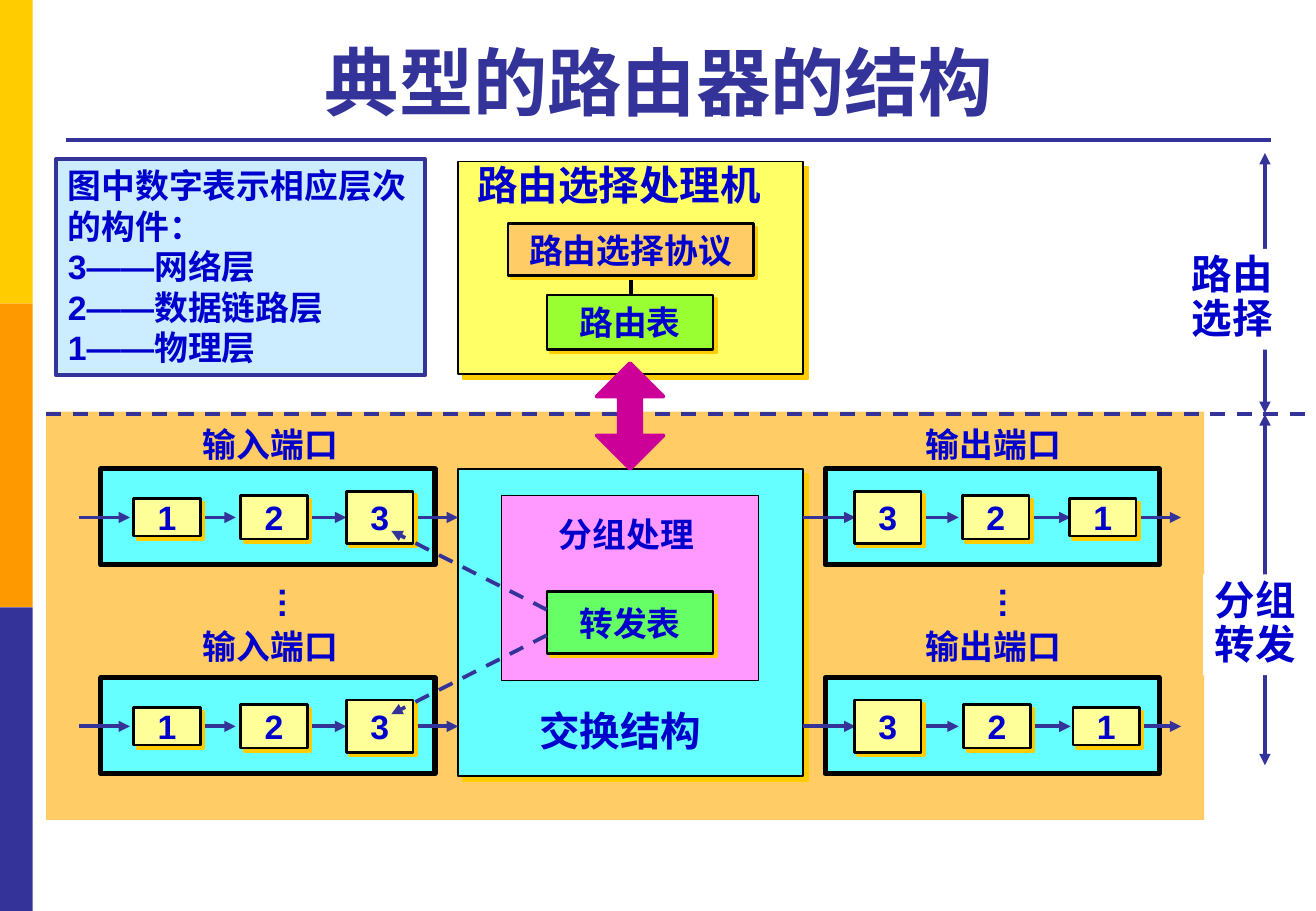
from dataclasses import dataclass

from lxml import etree
from pptx import Presentation
from pptx.dml.color import RGBColor
from pptx.enum import dml, shapes, text
from pptx.oxml.ns import qn
from pptx.util import Inches, Pt


@dataclass(frozen=True)
class Theme:
    font: str = "Arial"
    title_size: int = 44
    heading_size: int = 24
    label_size: int = 20
    ink: str = "0000CC"
    navy: str = "333399"
    black: str = "000000"
    white: str = "FFFFFF"
    gold: str = "FFCC00"
    orange: str = "FF9900"
    sand: str = "FFCC66"
    yellow: str = "FFFF66"
    cream: str = "FFFF99"
    cyan: str = "66FFFF"
    pink: str = "FF99FF"
    lime: str = "99FF33"
    green: str = "66FF66"
    magenta: str = "CC0099"
    sky: str = "CCECFF"


THEME = Theme()

TITLE = "典型的路由器的结构 "
LEGEND = ["图中数字表示相应层次的构件：", "3——网络层", "2——数据链路层", "1——物理层"]
PLANES = [  # lines, label position, arrow top and bottom
    (["路由", "选择"], (9.71, 2.05), (1.26, 3.4)),
    (["分组", "转发"], (9.9, 4.73), (3.41, 6.3)),
]
LAYER_HEIGHTS = {"1": 0.31, "2": 0.36, "3": 0.43}
ROWS = [(4.26, 3.44), (5.98, 5.1)]  # arrow line and label top
INPUT_LAYERS = [("1", 1.1), ("2", 1.98), ("3", 2.85)]
INPUT_ARROWS = [(0.65, 1.07), (1.57, 1.94), (2.49, 2.85), (3.4, 3.77)]
OUTPUT_ARROWS = [(6.61, 7.04), (7.52, 7.89), (8.44, 8.81), (9.35, 9.72)]
OUTPUT_LAYERS = [
    [("3", 7.03), ("2", 7.92), ("1", 8.8)],
    [("3", 7.03), ("2", 7.93), ("1", 8.83)],
]
# label, label left, port left, ellipsis left, layers in each row, arrows
PORTS = [
    ("输入端口", 1.57, 0.83, 2.17, [INPUT_LAYERS] * 2, INPUT_ARROWS),
    ("输出端口", 7.52, 6.79, 8.1, OUTPUT_LAYERS, OUTPUT_ARROWS),
]
TABLE_LINKS = [((4.5, 5.02), (3.22, 4.37)), ((4.5, 5.23), (3.22, 5.88))]

presentation = Presentation()
presentation.slide_width = Inches(10.83)
presentation.slide_height = Inches(7.5)
slide = presentation.slides.add_slide(presentation.slide_layouts[5])


def write(shape, lines, size=THEME.label_size, color=THEME.ink, align=text.PP_ALIGN.LEFT,
          anchor=text.MSO_ANCHOR.TOP, wrap=False, spacing=None):
    frame = shape.text_frame
    frame.word_wrap = wrap
    frame.vertical_anchor = anchor
    for index, line in enumerate(lines):
        paragraph = frame.paragraphs[0] if index == 0 else frame.add_paragraph()
        paragraph.alignment = align
        if spacing:
            paragraph.line_spacing = spacing
        run = paragraph.add_run()
        run.text = line
        run.font.name = THEME.font
        run.font.size = Pt(size)
        run.font.bold = True
        run.font.color.rgb = RGBColor.from_string(color)


def add_block(box, fill, line=None, width=1.5, shadow=0, kind=shapes.MSO_SHAPE.RECTANGLE):
    """Add a filled shape; shadow is the distance in points of a hard gold shadow."""
    shape = slide.shapes.add_shape(kind, *map(Inches, box))
    shape.fill.solid()
    shape.fill.fore_color.rgb = RGBColor.from_string(fill)
    if line:
        shape.line.color.rgb = RGBColor.from_string(line)
        shape.line.width = Pt(width)
    else:
        shape.line.fill.background()
    shape.shadow.inherit = False
    if shadow:
        effects = shape.element.spPr.find(qn("a:effectLst"))
        outer = etree.SubElement(effects, qn("a:outerShdw"), blurRad="0", dist=str(Pt(shadow)),
                                 dir="2700000", algn="ctr", rotWithShape="0")
        etree.SubElement(outer, qn("a:srgbClr"), val=THEME.gold)
    return shape


def add_named_box(name, box, fill):
    shape = add_block(box, fill, THEME.black, shadow=2.8)
    write(shape, [name], align=text.PP_ALIGN.CENTER, anchor=text.MSO_ANCHOR.MIDDLE)


def add_label(name, box, size=THEME.label_size, rotation=0):
    label = slide.shapes.add_textbox(*map(Inches, box))
    label.rotation = rotation
    write(label, [name], size=size)


def add_line(start, end, color=THEME.navy, dashed=False, ends=()):
    line = slide.shapes.add_connector(shapes.MSO_CONNECTOR.STRAIGHT, *map(Inches, start + end))
    line.line.color.rgb = RGBColor.from_string(color)
    line.line.width = Pt(2.25)
    if dashed:
        line.line.dash_style = dml.MSO_LINE.DASH
    properties = line.element.spPr
    for name in ends:
        etree.SubElement(properties.find(qn("a:ln")), qn(f"a:{name}"), type="triangle")
    etree.SubElement(properties, qn("a:effectLst"))


def add_port(row, label, label_left, port_left, layers, arrows):
    center, label_top = ROWS[row]
    add_label(label, (label_left, label_top, 1.32, 0.44))
    add_block((port_left, center - 0.4, 2.75, 0.79), THEME.cyan, THEME.black, width=3)
    for start, end in arrows:
        add_line((start, center), (end, center), ends=["tailEnd"])
    for layer, left in layers:
        height = LAYER_HEIGHTS[layer]
        add_named_box(layer, (left, center - height / 2, 0.55, height), THEME.cream)


# Side bars and title
for index, color in enumerate([THEME.gold, THEME.orange, THEME.navy]):
    add_block((0, 2.5 * index, 0.27, 2.5), color)
add_line((0.54, 1.15), (10.46, 1.15))
title = slide.shapes.title
title.left, title.top, title.width, title.height = map(Inches, (0.54, 0.21, 9.91, 0.87))
write(title, [TITLE], size=THEME.title_size, color=THEME.navy, align=text.PP_ALIGN.CENTER,
      anchor=text.MSO_ANCHOR.BOTTOM, wrap=True)

# Routing processor
add_block((0.38, 3.39, 9.53, 3.36), THEME.sand)
add_block((3.77, 1.33, 2.84, 1.75), THEME.yellow, THEME.black, width=1, shadow=4.2)
add_label("路由选择处理机", (3.83, 1.27, 2.56, 0.5), size=THEME.heading_size)
add_line((5.19, 2.16), (5.19, 2.42), color=THEME.black)
add_named_box("路由选择协议", (4.18, 1.84, 2.02, 0.43), THEME.sand)
add_named_box("路由表", (4.5, 2.43, 1.37, 0.45), THEME.lime)

# Switching fabric and ports
add_block((3.77, 3.86, 2.84, 2.53), THEME.cyan, THEME.black, width=1, shadow=4.2)
add_label("交换结构", (4.34, 5.76, 1.55, 0.5), size=THEME.heading_size)
for label, label_left, port_left, ellipsis_left, layer_rows, arrows in PORTS:
    for row, layers in enumerate(layer_rows):
        add_port(row, label, label_left, port_left, layers, arrows)
    add_label("…", (ellipsis_left, 4.75, 0.48, 0.44), rotation=90)

# Routing and forwarding planes
add_line((0.38, 3.41), (10.82, 3.41), dashed=True)
for lines, position, (top, bottom) in PLANES:
    add_line((10.41, top), (10.41, bottom), ends=["headEnd", "tailEnd"])
    plane = add_block(position + (0.88, 0.83), THEME.white)
    write(plane, lines, size=THEME.heading_size, spacing=0.9)

# Packet processing
add_block((4.13, 4.08, 2.11, 1.52), THEME.pink, THEME.black, width=0.75)
add_label("分组处理", (4.5, 4.18, 1.32, 0.44))
add_named_box("转发表", (4.5, 4.87, 1.37, 0.51), THEME.green)
for start, end in TABLE_LINKS:
    add_line(start, end, dashed=True, ends=["tailEnd"])
exchange = add_block((4.91, 2.99, 0.55, 0.87), THEME.magenta, THEME.magenta, width=2.25,
                     kind=shapes.MSO_SHAPE.UP_DOWN_ARROW)
exchange.adjustments[0] = 0.5
exchange.adjustments[1] = 0.34

legend = add_block((0.46, 1.31, 3.04, 1.78), THEME.sky, THEME.navy, width=2.25)
write(legend, LEGEND, wrap=True)

presentation.save("out.pptx")
